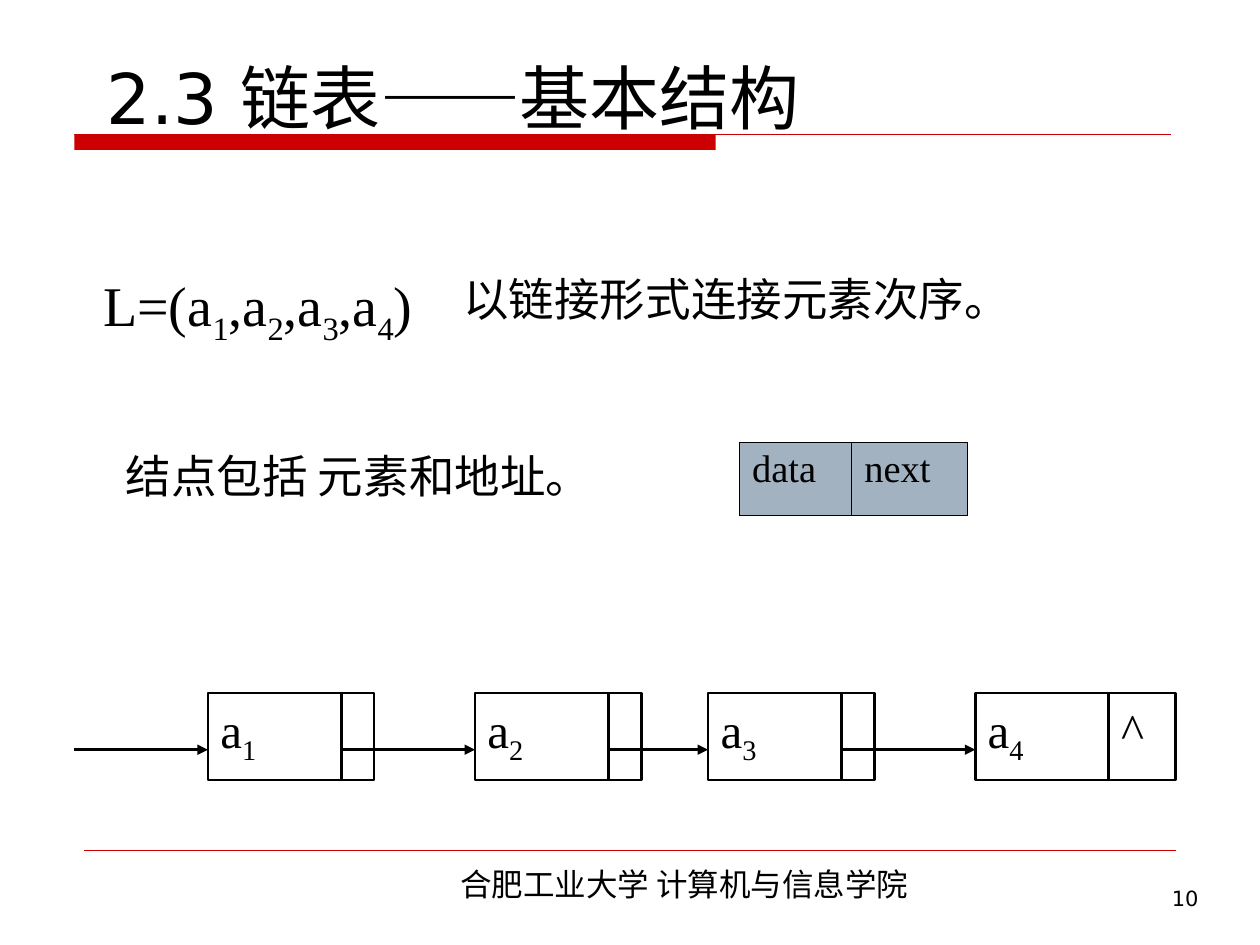
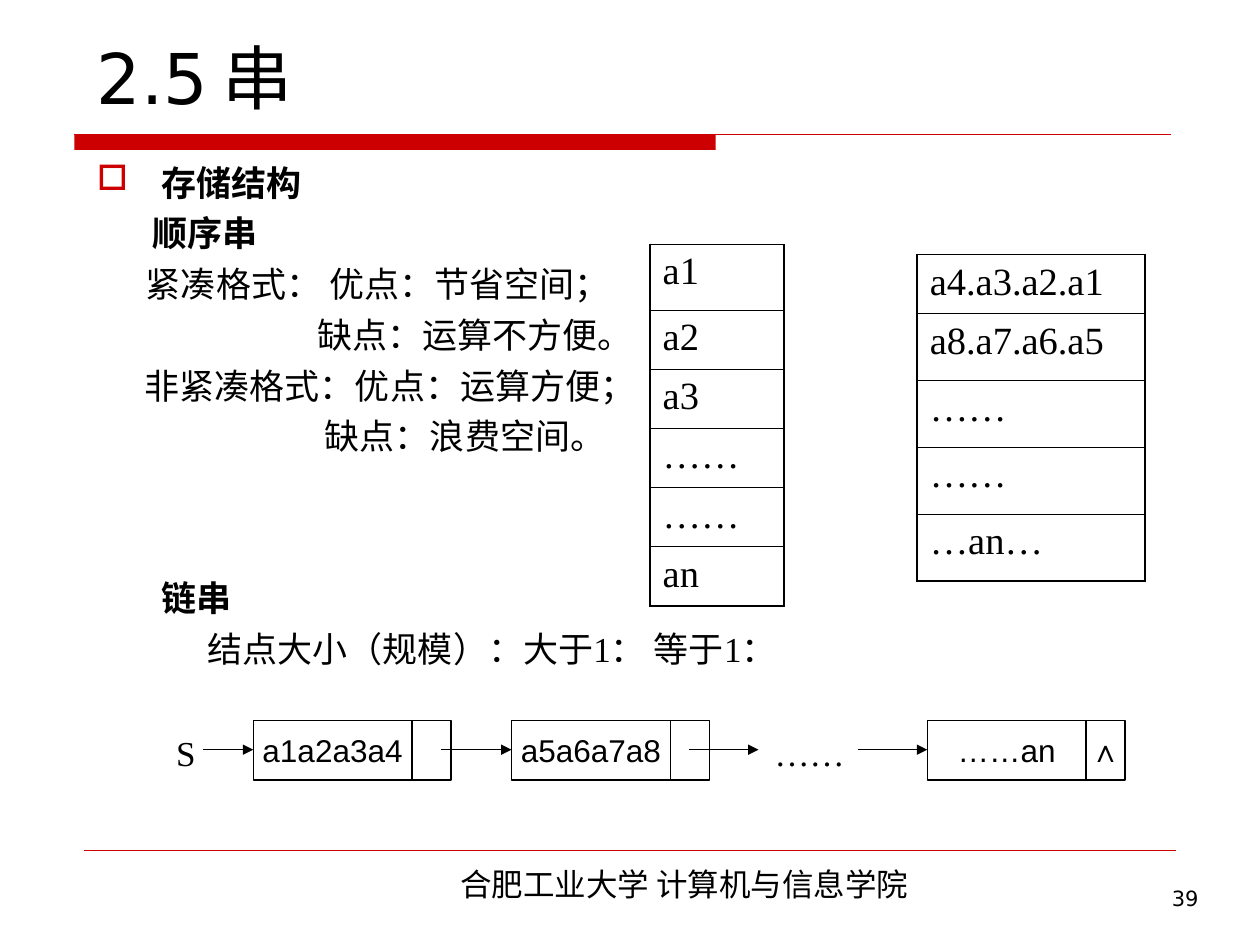
from dataclasses import dataclass
from typing import Optional

import pptx
import pptx.dml.color
import pptx.enum.shapes
import pptx.enum.text
import pptx.oxml.ns
import pptx.util
from lxml import etree

Inches = pptx.util.Inches
Pt = pptx.util.Pt
RGBColor = pptx.dml.color.RGBColor
qn = pptx.oxml.ns.qn
ALIGN = pptx.enum.text.PP_ALIGN
ANCHOR = pptx.enum.text.MSO_ANCHOR

# Shared colours and fonts
BLACK = RGBColor(0x00, 0x00, 0x00)
RED = RGBColor(0xCC, 0x00, 0x00)
STEEL = RGBColor(0xA3, 0xB2, 0xC1)
SERIF, SANS, HEADING, CHINESE = (
    "Times New Roman", "Arial", "DejaVu Sans", "Noto Sans CJK SC")
FOOTER = "合肥工业大学 计算机与信息学院"


@dataclass(frozen=True)
class Span:
    text: str
    font: Optional[str] = None
    subscript: bool = False


@dataclass(frozen=True)
class Line:
    """One paragraph; indent and hanging are in inches, space and size in points."""
    spans: tuple[Span, ...]
    size: float = 20
    font: str = SERIF
    bold: bool = False
    align: Optional[ALIGN] = None
    indent: float = 0
    hanging: float = 0
    space_before: float = 0
    bullet: str = ""
    tab: float = 0


@dataclass(frozen=True)
class Node:
    """A list node: a data field followed by a link field."""
    left: float
    data: Line
    link: Optional[Line] = None
    link_width: float = 0.31


@dataclass(frozen=True)
class Grid:
    left: float
    top: float
    columns: tuple[float, ...]
    rows: tuple[float, ...]
    cells: tuple[tuple[str, ...], ...]
    fill: Optional[RGBColor] = None
    outer: float = 1.08
    inner: float = 0.45


def plain(text: str, **style) -> Line:
    return Line((Span(text),), **style)


def indexed(text: str, size: float) -> Line:
    """Set every digit of the text as a subscript."""
    return Line(tuple(Span(letter, subscript=letter.isdigit()) for letter in text), size)


def write(frame, lines: list[Line], anchor=ANCHOR.TOP, wrap: bool = True) -> None:
    layout = {"word_wrap": wrap, "vertical_anchor": anchor,
              "margin_left": Inches(0.1), "margin_right": Inches(0.1),
              "margin_top": Inches(0.05), "margin_bottom": Inches(0.05)}
    for name, value in layout.items():
        setattr(frame, name, value)
    for number, line in enumerate(lines):
        para = frame.paragraphs[0] if number == 0 else frame.add_paragraph()
        format_paragraph(para, line)
        for part in line.spans:
            span = para.add_run()
            span.text = part.text
            look = {"name": part.font or line.font, "size": Pt(line.size), "bold": line.bold}
            for name, value in look.items():
                setattr(span.font, name, value)
            span.font.color.rgb = BLACK
            if part.subscript:
                span.font._element.set("baseline", "-25000")


def format_paragraph(para, line: Line) -> None:
    para.alignment = line.align
    para.space_before = Pt(line.space_before)
    properties = para._p.get_or_add_pPr()
    properties.set("marL", str(Inches(line.indent)))
    properties.set("indent", str(-Inches(line.hanging)))
    if line.bullet:
        colour = etree.SubElement(properties, qn("a:buClr"))
        etree.SubElement(colour, qn("a:srgbClr"), val=str(RED))
        etree.SubElement(properties, qn("a:buChar"), char=line.bullet)
    else:
        etree.SubElement(properties, qn("a:buNone"))
    if line.tab:
        stops = etree.SubElement(properties, qn("a:tabLst"))
        etree.SubElement(stops, qn("a:tab"), pos=str(Inches(line.tab)), algn="l")


def add_text(page, left: float, top: float, width: float, height: float,
             lines: list[Line], anchor=ANCHOR.TOP) -> None:
    box = page.shapes.add_textbox(Inches(left), Inches(top), Inches(width), Inches(height))
    write(box.text_frame, lines, anchor)


def add_box(page, left: float, top: float, width: float, height: float,
            weight: float = 0, fill: Optional[RGBColor] = None):
    box = page.shapes.add_shape(
        pptx.enum.shapes.MSO_SHAPE.RECTANGLE,
        Inches(left), Inches(top), Inches(width), Inches(height))
    box.shadow.inherit = False
    if fill is None:
        box.fill.background()
    else:
        box.fill.solid()
        box.fill.fore_color.rgb = fill
    if weight:
        box.line.color.rgb = BLACK
        box.line.width = Pt(weight)
    else:
        box.line.fill.background()
    return box


def add_line(page, x1: float, y1: float, x2: float, y2: float, weight: float,
             colour: RGBColor = BLACK, arrow: bool = False) -> None:
    line = page.shapes.add_connector(
        pptx.enum.shapes.MSO_CONNECTOR.STRAIGHT,
        Inches(x1), Inches(y1), Inches(x2), Inches(y2))
    line.line.color.rgb = colour
    line.line.width = Pt(weight)
    if arrow:
        etree.SubElement(line.line._get_or_add_ln(), qn("a:tailEnd"), type="triangle")
    etree.SubElement(line._element.spPr, qn("a:effectLst"))


def add_grid(page, grid: Grid) -> None:
    shape = page.shapes.add_table(
        len(grid.rows), len(grid.columns), Inches(grid.left), Inches(grid.top),
        Inches(sum(grid.columns)), Inches(sum(grid.rows)))
    table = shape.table
    table.first_row = table.horz_banding = False
    for column, width in zip(table.columns, grid.columns):
        column.width = Inches(width)
    last_row, last_column = len(grid.rows) - 1, len(grid.columns) - 1
    for r, height in enumerate(grid.rows):
        table.rows[r].height = Inches(height)
        for c, text in enumerate(grid.cells[r]):
            cell = table.cell(r, c)
            for side in ("left", "right"):
                setattr(cell, f"margin_{side}", Inches(0.1))
            write(cell.text_frame, [plain(text, size=22)])
            if grid.fill is None:
                cell.fill.background()
            else:
                cell.fill.solid()
                cell.fill.fore_color.rgb = grid.fill
            edges = {"L": c == 0, "R": c == last_column, "T": r == 0, "B": r == last_row}
            add_borders(cell, {side: grid.outer if outside else grid.inner
                               for side, outside in edges.items()})


def add_borders(cell, weights: dict[str, float]) -> None:
    properties = cell._tc.get_or_add_tcPr()
    for position, (side, weight) in enumerate(weights.items()):
        edge = etree.Element(qn(f"a:ln{side}"), w=str(Pt(weight)))
        fill = etree.SubElement(edge, qn("a:solidFill"))
        etree.SubElement(fill, qn("a:srgbClr"), val=str(BLACK))
        properties.insert(position, edge)


def add_page(deck, number: int):
    """Blank slide with the red title band, footer rule, footer and page number."""
    page = deck.slides.add_slide(deck.slide_layouts[6])
    add_box(page, 0.59, 1.07, 5.09, 0.12, fill=RED)
    add_line(page, 0.59, 1.07, 9.29, 1.07, 0.75, RED)
    add_line(page, 0.67, 6.75, 9.33, 6.75, 0.25, RED)
    add_text(page, 2.4, 6.82, 6.06, 0.4,
             [plain(FOOTER, size=18, font=CHINESE, align=ALIGN.CENTER)])
    add_text(page, 7.44, 6.98, 2.17, 0.52,
             [plain(str(number), size=12, font=HEADING, align=ALIGN.RIGHT)])
    return page


def build_linked_list(deck) -> None:
    page = add_page(deck, 10)
    title = Line((Span("2.3 链表"), Span("——", SANS), Span("基本结构")), 40, HEADING)
    add_text(page, 0.75, 0.21, 9, 0.94, [title], ANCHOR.BOTTOM)
    add_text(page, 3.58, 2.1, 6.06, 0.87, [plain("以链接形式连接元素次序。", size=26)])
    add_text(page, 0.72, 2.1, 2.94, 0.71, [indexed("L=(a1,a2,a3,a4)", 32)])
    add_text(page, 0.9, 3.51, 4.9, 0.87, [plain("结点包括 元素和地址。", size=26)])
    add_grid(page, Grid(5.87, 3.51, (0.89, 0.92), (0.58,), (("data", "next"),),
                        fill=STEEL, outer=0.45))

    # Chain of four nodes, each reached from the link field before it
    top, height, data_width, weight = 5.5, 0.69, 1.06, 1.5
    nodes = [Node(left, indexed(f"a{i}", 28), link_width=0.26)
             for i, left in enumerate((1.65, 3.77, 5.62), start=1)]
    nodes.append(Node(7.74, indexed("a4", 28), plain("^", size=28), 0.53))
    arrow_start = 0.59
    for node in nodes:
        divider = node.left + data_width
        box = add_box(page, node.left, top, data_width + node.link_width, height, weight)
        write(box.text_frame, [node.data])
        box.text_frame.paragraphs[0].alignment = ALIGN.LEFT
        add_line(page, divider, top, divider, top + height, weight)
        add_line(page, arrow_start, 5.95, node.left, 5.95, weight, arrow=True)
        if node.link:
            add_text(page, divider, top, node.link_width, height, [node.link])
        arrow_start = divider


def build_string(deck) -> None:
    page = add_page(deck, 39)
    add_text(page, 0.67, 0.21, 8.75, 0.78,
             [plain("2.5\t串", size=40, font=HEADING, tab=1.37)], ANCHOR.BOTTOM)

    # Outline of the storage structures
    outline = [
        plain("存储结构", bold=True, indent=0.51, hanging=0.51, bullet="□"),
        plain("顺序串", bold=True, indent=0.44, space_before=5),
        plain("紧凑格式： 优点：节省空间；", indent=0.39, space_before=5),
        plain("缺点：运算不方便。", indent=1.75, space_before=5),
        plain("非紧凑格式：优点：运算方便；", indent=0.38, space_before=5),
        plain("缺点：浪费空间。", indent=1.81, space_before=5),
        plain("链串", bold=True, indent=0.51, space_before=68.5),
        plain("结点大小（规模）：大于1： 等于1：", indent=0.88, space_before=5),
    ]
    add_text(page, 0.67, 1.23, 8.66, 4.4, outline)

    # Memory cells: one element per cell, then four per cell
    loose = ("a1", "a2", "a3", "……", "……", "an")
    packed = ("a4.a3.a2.a1", "a8.a7.a6.a5", "……", "……", "…an…")
    add_grid(page, Grid(5.16, 1.94, (1.06,), (0.52,) + (0.47,) * 5,
                        tuple((text,) for text in loose)))
    add_grid(page, Grid(7.28, 2.02, (1.81,), (0.47,) + (0.53,) * 4,
                        tuple((text,) for text in packed)))

    # Chain of four-character nodes
    top, height, data_width, weight = 5.72, 0.47, 1.26, 0.75
    label = {"size": 18, "font": SANS, "align": ALIGN.CENTER}
    nodes = (Node(2.01, plain("a1a2a3a4", **label)),
             Node(4.06, plain("a5a6a7a8", **label)),
             Node(7.36, plain("……an", **label), plain("∧", **label)))
    for node in nodes:
        fields = ((node.left, data_width, node.data),
                  (node.left + data_width, node.link_width, node.link))
        for left, width, line in fields:
            box = add_box(page, left, top, width, height, weight)
            if line:
                write(box.text_frame, [line], ANCHOR.MIDDLE, wrap=False)
    for start, end in ((1.61, 2.01), (3.5, 4.06), (5.47, 6.02), (6.81, 7.36)):
        add_line(page, start, 5.95, end, 5.95, weight, arrow=True)
    for left, width, text in ((1.3, 0.4, "S"), (6.05, 0.8, "……")):
        add_text(page, left, 5.76, width, 0.43, [plain(text)])


def main() -> None:
    deck = pptx.Presentation()
    deck.slide_width, deck.slide_height = Inches(10), Inches(7.5)
    build_linked_list(deck)
    build_string(deck)
    deck.save("out.pptx")


if __name__ == "__main__":
    main()
